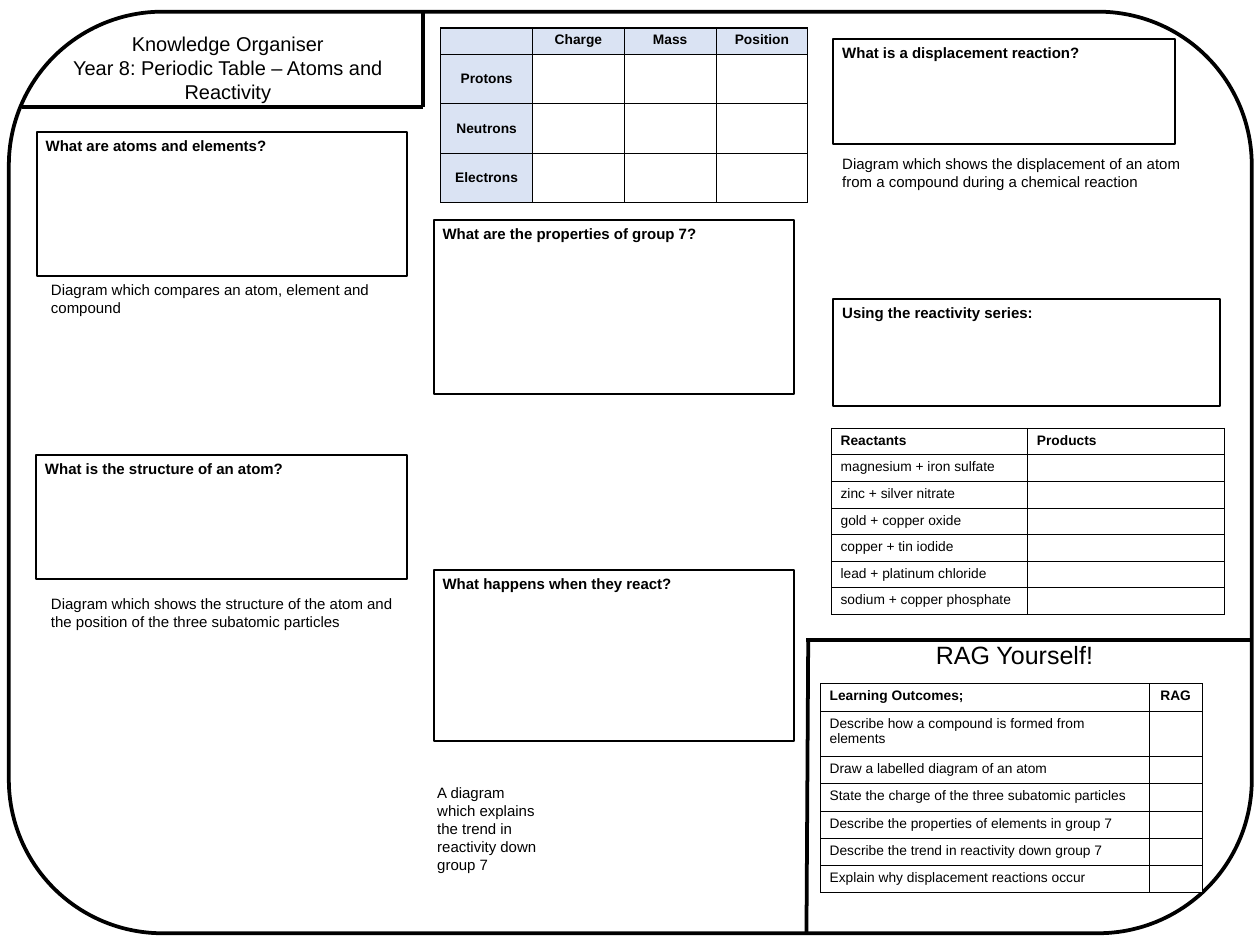
from pptx import Presentation
from pptx import util as u
from pptx.dml.color import RGBColor
from pptx.enum import shapes, text
from pptx.oxml import parse_xml
from pptx.oxml.ns import nsdecls

HUES = {"ink": "000000", "paper": "FFFFFF", "tint": "DAE3F3"}
FONT = "Arial"
MID = text.PP_ALIGN.CENTER
LEFT = text.PP_ALIGN.LEFT
FRAME = {
    "word_wrap": True,
    "auto_size": text.MSO_AUTO_SIZE.NONE,
    "vertical_anchor": text.MSO_ANCHOR.TOP,
    "margin_left": u.Cm(0.25),
    "margin_right": u.Cm(0.25),
    "margin_top": u.Cm(0.13),
    "margin_bottom": u.Cm(0.13),
}


def hue(name):
    return RGBColor.from_string(HUES[name])


def apply(item, values):
    for key, value in values.items():
        setattr(item, key, value)


def place(box, left, top, *size):
    return [u.Cm(box[0] + left), u.Cm(box[1] + top)] + [u.Cm(n) for n in size]


def write(frame, lines, size, bold=False, align=LEFT):
    for i, line in enumerate(lines):
        para = frame.paragraphs[0] if i == 0 else frame.add_paragraph()
        para.alignment = align
        run = para.add_run()
        run.text = line
        apply(run.font, {"name": FONT, "size": u.Pt(size), "bold": bold})
        run.font.color.rgb = hue("ink")


def outline(slide, kind, spot, width):
    shape = slide.shapes.add_shape(kind, *spot)
    shape.shadow.inherit = False
    shape.fill.background()
    shape.line.color.rgb = hue("ink")
    shape.line.width = u.Pt(width)
    return shape


def question(slide, spot, words):
    shape = outline(slide, shapes.MSO_SHAPE.RECTANGLE, spot, 1.5)
    apply(shape.text_frame, FRAME)
    write(shape.text_frame, [words], 12, True)


def label(slide, spot, words, size=12, align=LEFT):
    frame = slide.shapes.add_textbox(*spot).text_frame
    apply(frame, FRAME)
    write(frame, [words], size, align=align)


def rule(slide, start, end):
    line = slide.shapes.add_connector(
        shapes.MSO_CONNECTOR.STRAIGHT, *[u.Cm(n) for n in (*start, *end)])
    line.line.color.rgb = hue("ink")
    line.line.width = u.Pt(3)
    line._element.spPr.append(parse_xml(f"<a:effectLst {nsdecls('a')}/>"))


def border(cell):
    props = cell._tc.get_or_add_tcPr()
    for side in ("lnL", "lnR", "lnT", "lnB"):
        props.append(parse_xml(
            f'<a:{side} {nsdecls("a")} w="12700"><a:solidFill>'
            f'<a:srgbClr val="{HUES["ink"]}"/></a:solidFill></a:{side}>'))


def grid(slide, spot, cols, rows, data, center=(), side=False):
    size = [u.Cm(sum(cols)), u.Cm(sum(rows))]
    table = slide.shapes.add_table(len(rows), len(cols), *spot, *size).table
    apply(table, {"first_row": False, "horz_banding": False})
    for col, width in zip(table.columns, cols):
        col.width = u.Cm(width)
    for r, (row, height) in enumerate(zip(table.rows, rows)):
        row.height = u.Cm(height)
        for c, cell in enumerate(row.cells):
            head = r == 0 or (side and c == 0)
            border(cell)
            cell.fill.solid()
            cell.fill.fore_color.rgb = hue("tint" if side and head else "paper")
            if side and r > 0:
                cell.vertical_anchor = text.MSO_ANCHOR.MIDDLE
            words = data[r][c] if c < len(data[r]) else ""
            if words:
                write(cell.text_frame, [words], 11, head,
                      MID if c in center else LEFT)
            else:
                para = cell.text_frame.paragraphs[0]
                para._p.get_or_add_endParaRPr().set("sz", "1100")


def header(slide, box):
    left, top, width, height = box
    title = slide.shapes.title
    spot = place(box, 0.41, 0.43, 10.82, 2.31)
    apply(title, dict(zip(("left", "top", "width", "height"), spot)))
    apply(title.text_frame, FRAME)
    write(title.text_frame, ["Knowledge Organiser",
          "Year 8: Periodic Table – Atoms and Reactivity"], 16, align=MID)
    corner = (left + width, top + height)
    rule(slide, (left, top + height), corner)
    rule(slide, corner, (left + width, top))


def atoms(slide, box):
    wide = box[2]
    question(slide, place(box, 0.02, 0, wide, 4.06),
             "What are atoms and elements?")
    label(slide, place(box, 0.17, 4.07, wide, 1.28),
          "Diagram which compares an atom, element and compound")
    question(slide, place(box, 0, 9.1, wide, 3.51),
             "What is the structure of an atom?")
    label(slide, place(box, 0.17, 12.91, wide, 1.28),
          "Diagram which shows the structure of the atom and the position "
          "of the three subatomic particles")


def groups(slide, box):
    wide = box[2]
    data = [["", "Charge", "Mass", "Position"],
            ["Protons"], ["Neutrons"], ["Electrons"]]
    grid(slide, place(box, 0.2, 0), [2.59] * 4, [0.74] + [1.4] * 3, data,
         range(4), True)
    question(slide, place(box, 0, 5.41, wide, 4.93),
             "What are the properties of group 7?")
    question(slide, place(box, 0, 15.29, wide, 4.83),
             "What happens when they react?")
    label(slide, place(box, -0.15, 21.18, 3.48, 2.82),
          "A diagram which explains the trend in reactivity down group 7")


def series(slide, box):
    question(slide, place(box, 0, 0, 9.65, 2.97),
             "What is a displacement reaction?")
    label(slide, place(box, 0, 3.15, 10.64, 1.28),
          "Diagram which shows the displacement of an atom from a compound "
          "during a chemical reaction")
    question(slide, place(box, 0, 7.34, box[2], 3.02),
             "Using the reactivity series:")
    data = [["Reactants", "Products"], ["magnesium + iron sulfate"],
            ["zinc + silver nitrate"], ["gold + copper oxide"],
            ["copper + tin iodide"], ["lead + platinum chloride"],
            ["sodium + copper phosphate"]]
    grid(slide, place(box, -0.05, 11), [5.54] * 2, [0.75] * 7, data)


def rating(slide, box):
    left, top, width, height = box
    rule(slide, (left, top), (left + width, top))
    rule(slide, (left, top + height), (left + 0.05, top))
    label(slide, place(box, 0.18, -0.13, 11.38, 1.12), "RAG Yourself!", 20, MID)
    data = [["Learning Outcomes;", "RAG"],
            ["Describe how a compound is formed from elements"],
            ["Draw a labelled diagram of an atom"],
            ["State the charge of the three subatomic particles"],
            ["Describe the properties of elements in group 7"],
            ["Describe the trend in reactivity down group 7"],
            ["Explain why displacement reactions occur"]]
    grid(slide, place(box, 0.4, 1.24), [9.27, 1.5],
         [0.77, 1.28] + [0.77] * 5, data, (1,))


def main():
    deck = Presentation()
    apply(deck, {"slide_width": u.Cm(35.56), "slide_height": u.Cm(26.67)})
    slide = deck.slides.add_slide(deck.slide_layouts[5])
    outline(slide, shapes.MSO_SHAPE.ROUNDED_RECTANGLE,
            place((0.25, 0.33), 0, 0, 35.08, 26.01), 3)
    header(slide, (0.61, 0.33, 11.33, 2.69))
    atoms(slide, (1.02, 3.73, 10.46))
    groups(slide, (12.24, 0.79, 10.16))
    series(slide, (23.52, 1.09, 10.92))
    rating(slide, (22.76, 18.06, 12.55, 8.28))
    deck.save("out.pptx")


if __name__ == "__main__":
    main()
